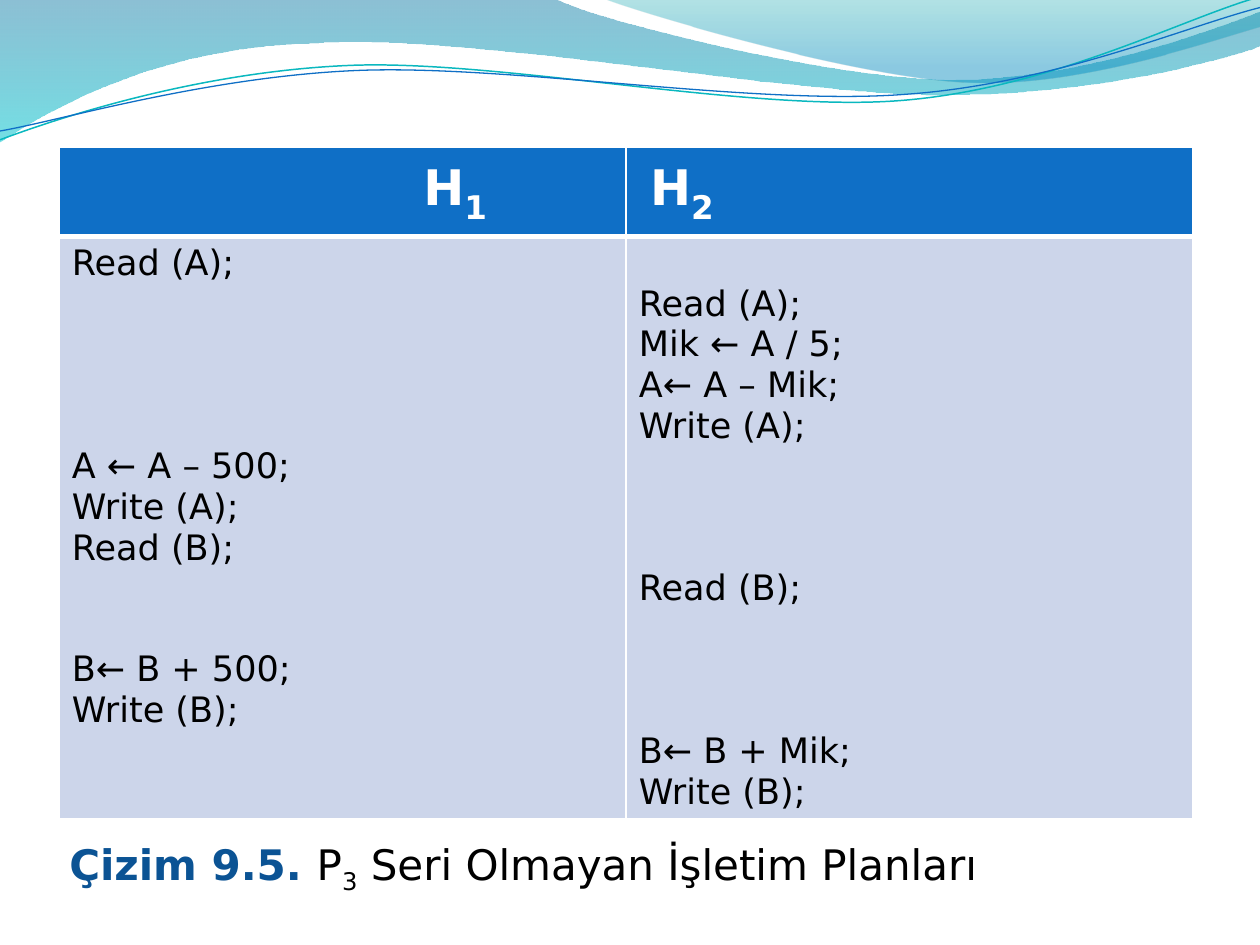
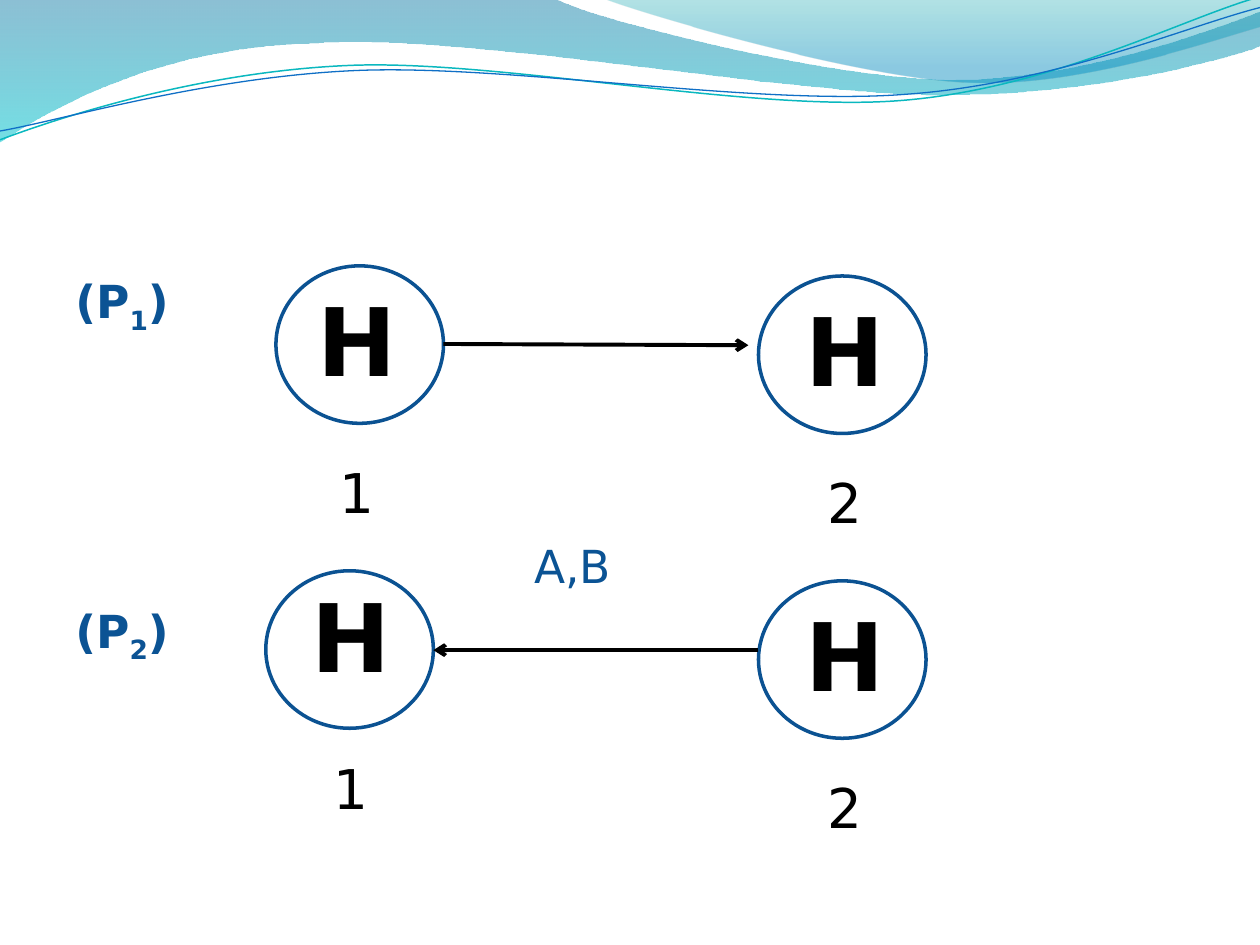
import pptx
import pptx.dml.color
import pptx.enum.shapes
import pptx.enum.text
import pptx.oxml
import pptx.oxml.ns
import pptx.util
from lxml import etree

Inches = pptx.util.Inches
Pt = pptx.util.Pt
qn = pptx.oxml.ns.qn
FONT = "DejaVu Sans"
BLACK, WHITE = "000000", "FFFFFF"
LABEL_BLUE, RING_BLUE = "0B5394", "0B5292"
HEADER_BLUE, BODY_BLUE = "0F6FC6", "CCD5EA"
CODE_SIZE = 20
CODE_LINE = CODE_SIZE * 1.16

WIDE_WAVE = [(0, 0), (4.4, -0.01),
             [(4.76, 0.17), (6.64, 0.63), (7.58, 0.63)],
             [(8.53, 0.63), (9.58, 0.26), (10, 0.09)],
             (10.01, 0.36),
             [(9.83, 0.44), (8.7, 0.76), (7.46, 0.75)],
             [(6.22, 0.75), (3.82, 0.28), (2.57, 0.34)],
             [(1.29, 0.36), (0.46, 0.83), (-0.01, 1.13)],
             (0, 0)]
RIGHT_WAVE = [(4.79, -0.01),
              [(5.09, 0.11), (6.82, 0.62), (7.69, 0.65)],
              [(8.56, 0.69), (9.61, 0.32), (10, 0.21)],
              (10, 0), (4.79, -0.01)]
TEAL_STRAND = [(0, 1.11),
               [(0.48, 0.93), (1.58, 0.57), (2.77, 0.52)],
               [(3.95, 0.47), (5.93, 0.89), (7.13, 0.8)],
               [(8.33, 0.71), (9.38, 0.15), (9.98, -0.02)]]
BLUE_STRAND = [(0, 1.04),
               [(0.47, 0.96), (1.64, 0.61), (2.83, 0.56)],
               [(4.03, 0.51), (5.97, 0.84), (7.17, 0.75)],
               [(8.36, 0.67), (9.41, 0.21), (10, 0.06)]]

H1_STEPS = [(0, "Read (A);"), (4, "A ← A – 500;"), (0, "Write (A);"),
            (0, "Read (B);"), (2, "B← B + 500;"), (0, "Write (B);")]
H2_STEPS = [(0, "Read (A);"), (0, "Mik ← A / 5;"), (0, "A← A – Mik;"),
            (0, "Write (A);"), (3, "Read (B);"), (3, "B← B + Mik;"),
            (0, "Write (B);")]


def rgb(code):
    return pptx.dml.color.RGBColor.from_string(code)


def add_run(paragraph, text, size, color=BLACK, bold=False, sub=False):
    run = paragraph.add_run()
    run.text = text
    font = run.font
    font.name, font.size, font.bold = FONT, Pt(size), bold
    font.color.rgb = rgb(color)
    if sub:
        font._element.set("baseline", "-25000")


def add_text_frame(slide, left, top, width, height):
    frame = slide.shapes.add_textbox(
        Inches(left), Inches(top), Inches(width), Inches(height)).text_frame
    frame.word_wrap = True
    return frame


def add_outline(slide, outline, close):
    anchors = [part[-1] if isinstance(part, list) else part for part in outline]
    points = [(Inches(x), Inches(y)) for x, y in anchors]
    builder = slide.shapes.build_freeform(*points[0])
    builder.add_line_segments(points[1:], close=close)
    shape = builder.convert_to_shape()
    shape.shadow.inherit = False
    segments = list(shape._element.iter(qn("a:lnTo")))
    for segment, part in zip(segments, outline[1:]):
        if isinstance(part, list):
            curve = etree.Element(qn("a:cubicBezTo"))
            for x, y in part:
                etree.SubElement(curve, qn("a:pt"),
                                 x=str(Inches(x) - shape.left),
                                 y=str(Inches(y) - shape.top))
            segment.getparent().replace(segment, curve)
    return shape


def add_wave(slide, outline, stops):
    wave = add_outline(slide, outline, True)
    wave.line.fill.background()
    wave.fill.gradient()
    wave.fill.gradient_angle = 270
    for stop, (position, color, opacity) in zip(wave.fill.gradient_stops, stops):
        stop.position = position
        stop.color.rgb = rgb(color)
        tint = stop._gs.find(qn("a:srgbClr"))
        etree.SubElement(tint, qn("a:alpha"), val=str(opacity * 1000))


def add_strand(slide, outline, color, width):
    strand = add_outline(slide, outline, False)
    strand.fill.background()
    strand.line.color.rgb = rgb(color)
    strand.line.width = Pt(width)


def add_wavy_slide(deck):
    slide = deck.slides.add_slide(deck.slide_layouts[6])
    add_wave(slide, WIDE_WAVE, [(0, "0074A1", 45), (1, "00C6CF", 55)])
    add_wave(slide, RIGHT_WAVE, [(0, "00A1A9", 30), (0.8, "008BBF", 45)])
    add_strand(slide, TEAL_STRAND, "0AB8BF", 0.85)
    add_strand(slide, BLUE_STRAND, HEADER_BLUE, 0.75)
    return slide


def style_cell(cell, fill, bottom_width):
    properties = cell._tc.get_or_add_tcPr()
    for side, width in (("L", 1), ("R", 1), ("T", 1), ("B", bottom_width)):
        border = etree.SubElement(properties, qn("a:ln" + side), w=str(Pt(width)))
        paint = etree.SubElement(border, qn("a:solidFill"))
        etree.SubElement(paint, qn("a:srgbClr"), val=WHITE)
    cell.fill.solid()
    cell.fill.fore_color.rgb = rgb(fill)


def indent(paragraph, distance):
    paragraph._p.get_or_add_pPr().set("marL", str(Inches(distance)))


def fill_header(cell, number, distance):
    style_cell(cell, HEADER_BLUE, 3)
    heading = cell.text_frame.paragraphs[0]
    indent(heading, distance)
    add_run(heading, "H", 28, WHITE, True)
    add_run(heading, number, 32, WHITE, True, True)


def fill_steps(cell, steps, anchor):
    style_cell(cell, BODY_BLUE, 1)
    cell.vertical_anchor = anchor
    frame = cell.text_frame
    for index, (waits, text) in enumerate(steps):
        line = frame.add_paragraph() if index else frame.paragraphs[0]
        if waits:
            line.space_before = Pt(waits * CODE_LINE)
        add_run(line, text, CODE_SIZE)


def add_schedule(slide):
    schedule = slide.shapes.add_table(
        2, 2, Inches(0.47), Inches(1.17), Inches(9), Inches(5.32)).table
    schedule.rows[0].height = Inches(0.7)
    schedule.rows[1].height = Inches(4.62)
    anchors = pptx.enum.text.MSO_ANCHOR
    columns = (("1", 2.79, H1_STEPS, anchors.TOP),
               ("2", 0.09, H2_STEPS, anchors.BOTTOM))
    for column, (number, distance, steps, anchor) in enumerate(columns):
        fill_header(schedule.cell(0, column), number, distance)
        fill_steps(schedule.cell(1, column), steps, anchor)


def add_caption(slide):
    caption = add_text_frame(slide, 0.55, 6.48, 9, 0.63)
    caption.margin_left = caption.margin_right = caption.margin_bottom = 0
    caption.vertical_anchor = pptx.enum.text.MSO_ANCHOR.BOTTOM
    line = caption.paragraphs[0]
    add_run(line, "Çizim 9.5. ", 24, LABEL_BLUE, True)
    add_run(line, "P", 24)
    add_run(line, "3", 24, sub=True)
    add_run(line, " Seri Olmayan İşletim Planları", 24)


def add_plan_name(paragraph, number):
    for text, sub in (("(P", False), (number, True), (")", False)):
        add_run(paragraph, text, 26, LABEL_BLUE, True, sub)


def add_plan_labels(slide):
    labels = add_text_frame(slide, 0.5, 2.12, 9, 4.8)
    add_plan_name(labels.paragraphs[0], "1")
    shared_items = labels.add_paragraph()
    indent(shared_items, 3.64)
    shared_items.space_before = Pt(115.6)
    add_run(shared_items, "A,B", 26, LABEL_BLUE)
    second_plan = labels.add_paragraph()
    second_plan.space_before = Pt(6.1)
    add_plan_name(second_plan, "2")


def add_ring(slide, left, top):
    ring = slide.shapes.add_shape(
        pptx.enum.shapes.MSO_SHAPE.OVAL,
        Inches(left), Inches(top), Inches(1.33), Inches(1.25))
    ring.shadow.inherit = False
    ring.fill.background()
    ring.line.color.rgb = rgb(RING_BLUE)
    ring.line.width = Pt(2)


def add_node_name(slide, number, left, top, width):
    name = add_text_frame(slide, left, top, width, 1.01).paragraphs[0]
    name.alignment = pptx.enum.text.PP_ALIGN.CENTER
    add_run(name, "H", 54, bold=True)
    add_run(name, number, 54, sub=True)


def add_arrow(slide, start, end):
    arrow = slide.shapes.add_connector(
        pptx.enum.shapes.MSO_CONNECTOR.STRAIGHT,
        *(Inches(value) for value in (*start, *end)))
    arrow.line.color.rgb = rgb(BLACK)
    arrow.line.width = Pt(2.25)
    etree.SubElement(arrow.line._get_or_add_ln(), qn("a:tailEnd"), type="arrow")
    etree.SubElement(arrow._element.spPr, qn("a:effectLst"))


def add_precedence_graphs(slide):
    add_plan_labels(slide)
    for left, top in ((2.19, 2.11), (6.02, 2.19), (2.11, 4.53), (6.02, 4.61)):
        add_ring(slide, left, top)
    add_arrow(slide, (3.52, 2.73), (5.94, 2.74))
    add_arrow(slide, (6.02, 5.16), (3.44, 5.16))
    for number, left, top, width in (("1", 2.34, 2.19, 0.99),
                                     ("2", 6.17, 2.27, 1.07),
                                     ("1", 2.29, 4.54, 0.99),
                                     ("2", 6.17, 4.69, 1.07)):
        add_node_name(slide, number, left, top, width)


def main():
    deck = pptx.Presentation()
    deck.slide_width, deck.slide_height = Inches(10), Inches(7.5)
    plan_slide = add_wavy_slide(deck)
    add_caption(plan_slide)
    add_schedule(plan_slide)
    add_precedence_graphs(add_wavy_slide(deck))
    deck.save("out.pptx")


if __name__ == "__main__":
    main()
